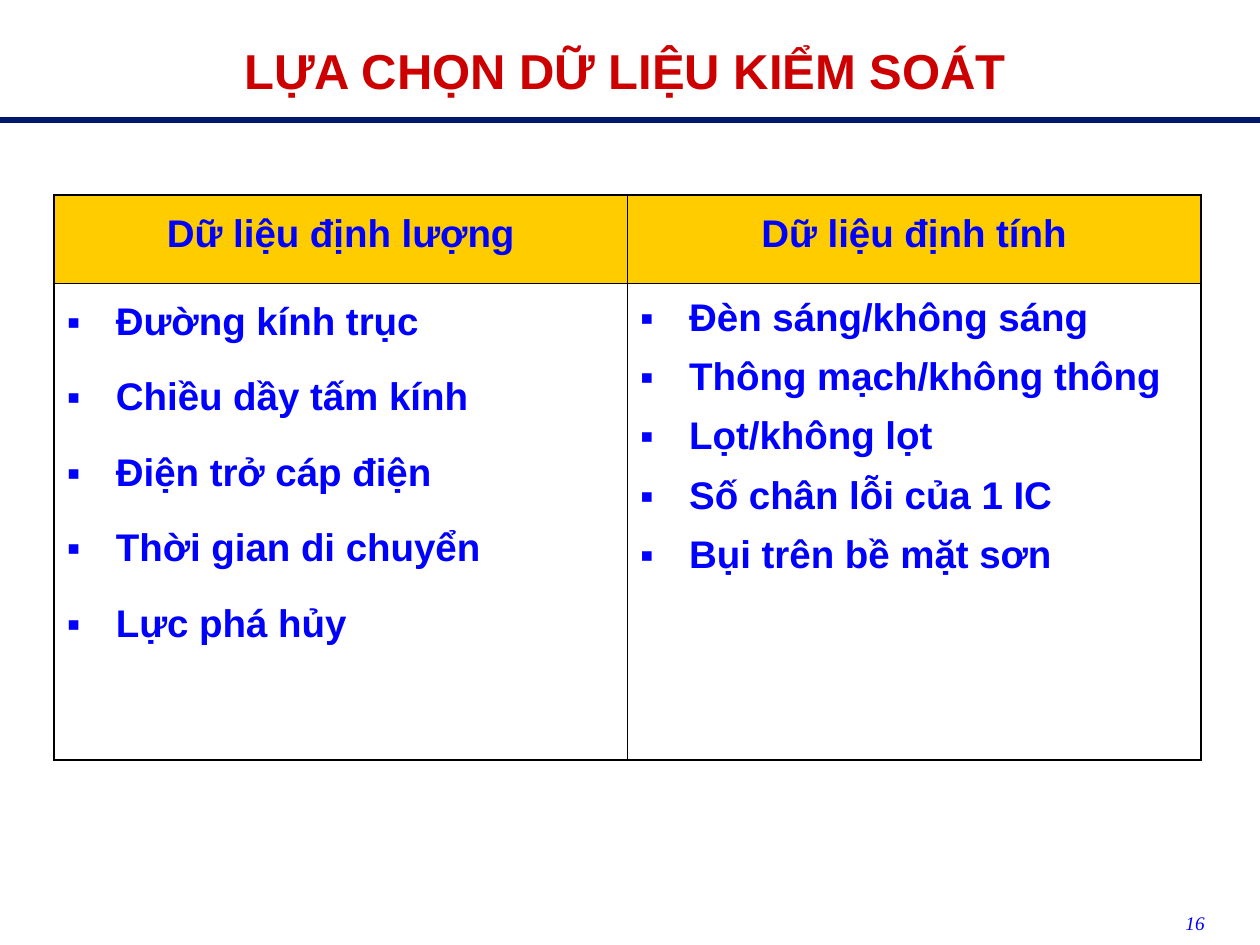
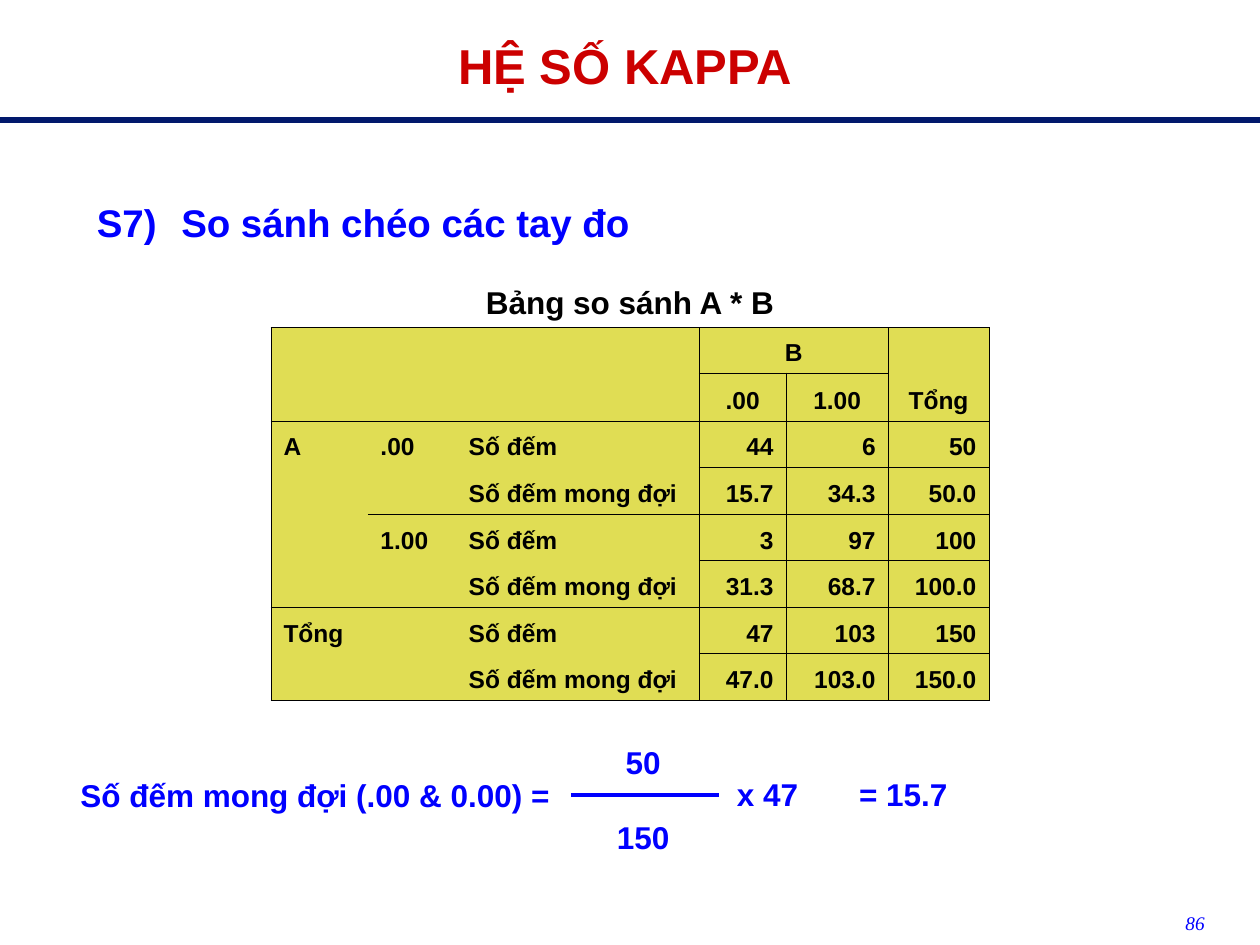
from lxml import etree
from pptx import Presentation
from pptx import util as u
from pptx.dml.color import RGBColor
from pptx.enum import shapes, text
from pptx.oxml.ns import qn

COLORS = {
    "title": "CC0000",
    "body": "0000FF",
    "rule": "01186C",
    "header": "FFCC00",
    "grid": "E0DD54",
    "ink": "000000",
}
SANS, SERIF = "Arial", "Times New Roman"
LEFT, CENTER, RIGHT, JUSTIFY = (
    text.PP_ALIGN.LEFT, text.PP_ALIGN.CENTER, text.PP_ALIGN.RIGHT, text.PP_ALIGN.JUSTIFY)
THIN, THICK = 0.45, 1.08


def rgb(name):
    return RGBColor.from_string(COLORS[name])


class SlideBuilder:
    """Holds the deck, the shared style and the current slide."""

    def __init__(self):
        self.deck = Presentation()
        self.deck.slide_width = u.Inches(10)
        self.deck.slide_height = u.Inches(7.5)
        self.page = None

    def start(self, title, number, title_top):
        """New slide with its title, page number and rule."""
        self.page = self.deck.slides.add_slide(self.deck.slide_layouts[6])
        self.label(title, 0, title_top, 9.92, 0.95, size=28, color="title",
                   align=CENTER, spacing=1.5)
        self.label(number, 7.33, 7.18, 2.33, 0.25, size=11, font=SERIF,
                   bold=False, italic=True, align=RIGHT)
        self.line(0, 0.95, 10, "rule", 3.5)

    def add_words(self, para, words, size=18, color="body", font=SANS, bold=True,
                  italic=False, align=LEFT, spacing=None, before=0, after=0):
        para.alignment = align
        para.space_before, para.space_after = u.Pt(before), u.Pt(after)
        if spacing:
            para.line_spacing = spacing
        span = para.add_run()
        span.text = words
        span.font.name, span.font.size = font, u.Pt(size)
        span.font.bold, span.font.italic = bold, italic
        span.font.color.rgb = rgb(color)

    def indent(self, para, hanging, bullet=None):
        """Hanging indent, with an optional coloured bullet."""
        props = para._p.get_or_add_pPr()
        props.set("marL", str(u.Inches(hanging)))
        props.set("indent", str(-u.Inches(hanging)))
        if bullet:
            tint = etree.SubElement(props, qn("a:buClr"))
            etree.SubElement(tint, qn("a:srgbClr"), val=COLORS["body"])
            etree.SubElement(props, qn("a:buFont"), typeface=SANS)
            etree.SubElement(props, qn("a:buChar"), char=bullet)

    def label(self, words, left, top, width, height, hanging=0, **style):
        box = self.page.shapes.add_textbox(
            u.Inches(left), u.Inches(top), u.Inches(width), u.Inches(height))
        box.text_frame.word_wrap = True
        para = box.text_frame.paragraphs[0]
        if hanging:
            self.indent(para, hanging)
        self.add_words(para, words, **style)

    def line(self, left, top, right, color, weight):
        rule = self.page.shapes.add_connector(
            shapes.MSO_CONNECTOR.STRAIGHT, u.Inches(left), u.Inches(top),
            u.Inches(right), u.Inches(top))
        rule.line.color.rgb = rgb(color)
        rule.line.width = u.Pt(weight)
        etree.SubElement(rule._element.spPr, qn("a:effectLst"))

    def table(self, left, top, widths, heights):
        frame = self.page.shapes.add_table(
            len(heights), len(widths), u.Inches(left), u.Inches(top),
            u.Inches(sum(widths)), u.Inches(sum(heights)))
        grid = frame.table
        grid.first_row = grid.horz_banding = False
        for column, width in zip(grid.columns, widths):
            column.width = u.Inches(width)
        for row, height in zip(grid.rows, heights):
            row.height = u.Inches(height)
        return grid

    def cell(self, cell, edges, fill=None):
        """Borders (side letter to weight) and fill of one cell."""
        props = cell._tc.get_or_add_tcPr()
        for side in "LRTB":
            weight = edges.get(side, 0)
            border = etree.SubElement(props, qn("a:ln" + side), w=str(u.Pt(weight)))
            paint = etree.SubElement(
                border, qn("a:solidFill" if weight else "a:noFill"))
            if weight:
                etree.SubElement(paint, qn("a:srgbClr"), val=COLORS["ink"])
        if fill:
            cell.fill.solid()
            cell.fill.fore_color.rgb = rgb(fill)
        else:
            cell.fill.background()


def data_kinds(builder):
    builder.start("LỰA CHỌN DỮ LIỆU KIỂM SOÁT", "16", 0.04)
    loose = dict(size=22, spacing=1.25, before=6.9, after=5.5)
    tight = dict(size=22, spacing=1.15, before=2.8, after=2.8)
    columns = [
        ("Dữ liệu định lượng", loose,
         ["Đường kính trục", "Chiều dầy tấm kính", "Điện trở cáp điện",
          "Thời gian di chuyển", "Lực phá hủy"]),
        ("Dữ liệu định tính", tight,
         ["Đèn sáng/không sáng", "Thông mạch/không thông", "Lọt/không lọt",
          "Số chân lỗi của 1 IC", "Bụi trên bề mặt sơn"]),
    ]
    grid = builder.table(0.43, 1.55, [4.55, 4.55], [0.7, 3.78])
    for c, (heading, style, items) in enumerate(columns):
        for r in range(2):
            edges = {"L": THIN if c else THICK, "R": THICK if c else THIN,
                     "T": THIN if r else THICK, "B": THICK if r else THIN}
            builder.cell(grid.cell(r, c), edges, None if r else "header")
        builder.add_words(grid.cell(0, c).text_frame.paragraphs[0], heading,
                          align=CENTER, **{**loose, "before": 0})
        frame = grid.cell(1, c).text_frame
        for i, item in enumerate(items):
            para = frame.add_paragraph() if i else frame.paragraphs[0]
            builder.indent(para, 0.39, "▪")
            builder.add_words(para, item, **(style if i else {**style, "before": 0}))


def kappa_edges(r, c):
    """Full grid for headers and numbers; row labels are grouped in pairs."""
    if r == 0:
        return "B"
    if r < 3 or c > 2:
        return "LRTB"
    sides = {0: "L", 1: "", 2: "R"}[c]
    if c or r in (3, 6, 7, 8):
        sides += "T" if r % 2 else "B"
    return sides


def kappa(builder):
    builder.start("HỆ SỐ KAPPA", "86", 0)
    builder.label("S7)\tSo sánh chéo các tay đo", 0.67, 1.44, 8.75, 0.51,
                  hanging=0.67, size=22, align=JUSTIFY, spacing=1.25, after=5.5)

    # Cross table of the two raters
    count, expected = "Số đếm", "Số đếm mong đợi"
    rows = [
        ["Bảng so sánh A * B", "", "", "", "", ""],
        ["", "", "", "B", "", "Tổng"],
        ["", "", "", ".00", "1.00", ""],
        ["A", ".00", count, "44", "6", "50"],
        ["", "", expected, "15.7", "34.3", "50.0"],
        ["", "1.00", count, "3", "97", "100"],
        ["", "", expected, "31.3", "68.7", "100.0"],
        ["Tổng", "", count, "47", "103", "150"],
        ["", "", expected, "47.0", "103.0", "150.0"],
    ]
    grid = builder.table(2.15, 2.2, [0.77, 0.7, 1.93, 0.69, 0.81, 0.8],
                         [0.4, 0.36, 0.38] + [0.37] * 6)
    for first, last in [((0, 0), (0, 5)), ((1, 0), (2, 2)),
                        ((1, 3), (1, 4)), ((1, 5), (2, 5))]:
        grid.cell(*first).merge(grid.cell(*last))
    for r, row in enumerate(rows):
        for c, words in enumerate(row):
            cell = grid.cell(r, c)
            builder.cell(cell, dict.fromkeys(kappa_edges(r, c), THIN),
                         "grid" if r else None)
            cell.vertical_anchor = text.MSO_ANCHOR.BOTTOM
            para = cell.text_frame.paragraphs[0]
            if words:
                align = CENTER if r < 3 else RIGHT if c > 2 else LEFT
                builder.add_words(para, words, size=14 if r else 18, color="ink",
                                  align=align)
            else:
                etree.SubElement(para._p, qn("a:endParaRPr"), sz="1400")

    # Worked formula
    builder.label("Số đếm mong đợi (.00 & 0.00) =", 0.54, 6.11, 4.03, 0.4)
    for words, left, top, align in [
            ("50", 4.62, 5.85, CENTER), ("150", 4.62, 6.44, CENTER),
            ("x 47", 5.75, 6.1, LEFT), ("= 15.7", 6.72, 6.1, LEFT)]:
        builder.label(words, left, top, 0.97, 0.4, align=align)
    builder.line(4.53, 6.31, 5.71, "body", 2.25)


def main():
    builder = SlideBuilder()
    data_kinds(builder)
    kappa(builder)
    builder.deck.save("out.pptx")


if __name__ == "__main__":
    main()
